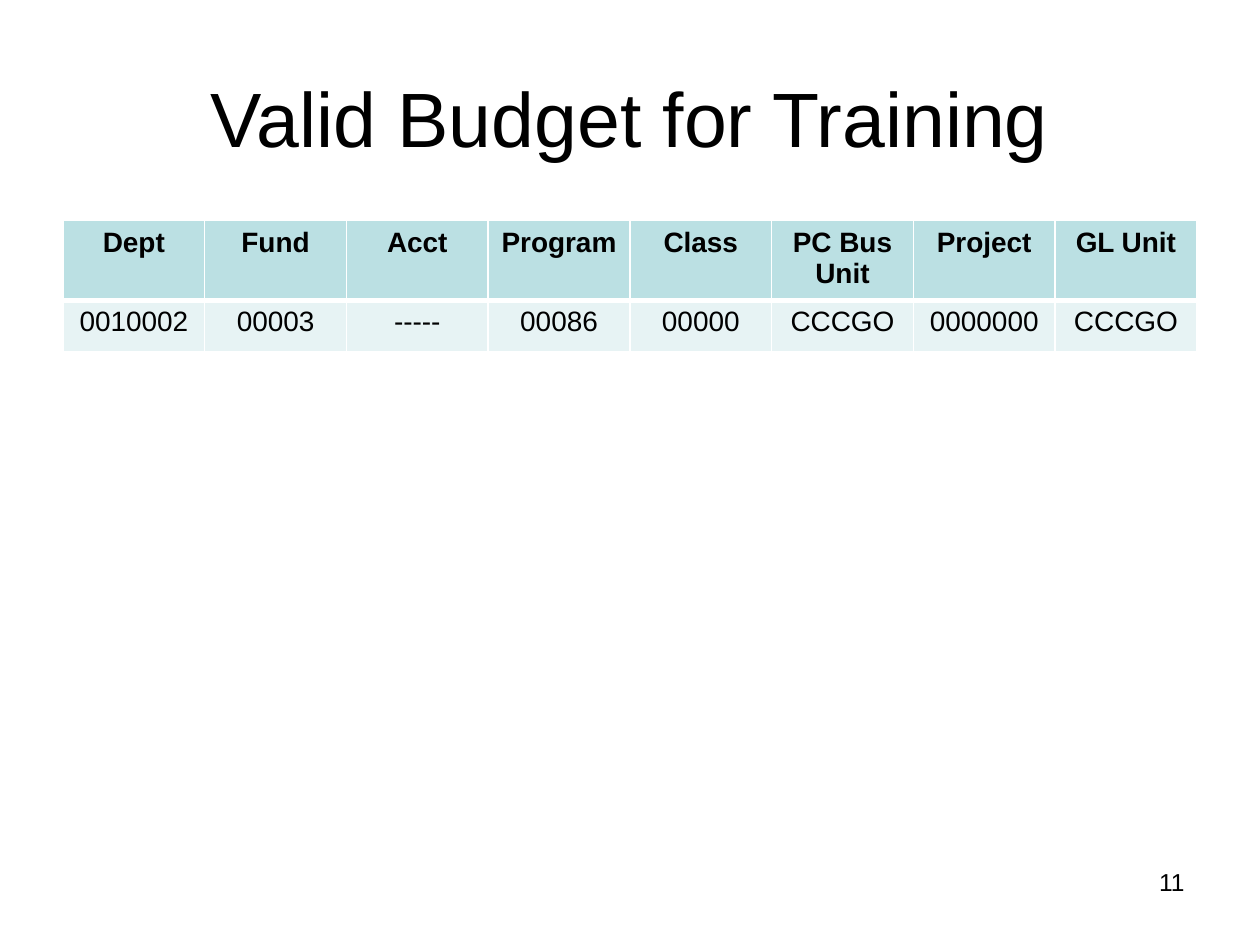
import pptx
import pptx.util
import pptx.dml.color
import pptx.enum.text
import pptx.oxml
import pptx.oxml.ns
from pptx.util import Inches

COLORS = {"text": "000000", "header": "BBE0E3", "body": "E7F3F4", "border": "FFFFFF"}
ALIGN = pptx.enum.text.PP_ALIGN
ANCHOR = pptx.enum.text.MSO_ANCHOR

TEXTS = [
    {"text": "Valid Budget for Training", "at": (0.5, 0.3, 9, 1.25), "size": 44,
     "align": ALIGN.CENTER, "anchor": ANCHOR.MIDDLE},
    {"text": "11", "at": (7.17, 6.83, 2.33, 0.52), "size": 14,
     "align": ALIGN.RIGHT, "anchor": ANCHOR.TOP},
]
BUDGET = [
    ("Dept", "Fund", "Acct", "Program", "Class", "PC Bus Unit", "Project", "GL Unit"),
    ("0010002", "00003", "-----", "00086", "00000", "CCCGO", "0000000", "CCCGO"),
]
ROW_STYLES = [
    {"fill": "header", "bold": True, "borders": {"L": 1, "R": 1, "T": 1, "B": 3}},
    {"fill": "body", "bold": False, "borders": {"L": 1, "R": 1, "T": 3, "B": 1}},
]
TABLE_AT = (0.5, 1.75, 9, 0.82)


def rgb(name):
    return pptx.dml.color.RGBColor.from_string(COLORS[name])


def write(frame, text, size, align, bold=False):
    para = frame.paragraphs[0]
    para.alignment = align
    span = para.add_run()
    span.text = text
    formats = {"name": "Arial", "size": pptx.util.Pt(size), "bold": bold}
    for key, value in formats.items():
        setattr(span.font, key, value)
    span.font.color.rgb = rgb("text")


def set_borders(cell, borders):
    properties = cell._tc.get_or_add_tcPr()
    namespace = pptx.oxml.ns.nsdecls("a")
    for position, (side, points) in enumerate(borders.items()):
        line = pptx.oxml.parse_xml(
            f'<a:ln{side} {namespace} w="{pptx.util.Pt(points)}"><a:solidFill>'
            f'<a:srgbClr val="{COLORS["border"]}"/></a:solidFill></a:ln{side}>')
        properties.insert(position, line)


def add_text(page, item):
    box = page.shapes.add_textbox(*map(Inches, item["at"]))
    box.text_frame.word_wrap = True
    box.text_frame.vertical_anchor = item["anchor"]
    write(box.text_frame, item["text"], item["size"], item["align"])


def add_budget(page):
    table = page.shapes.add_table(len(BUDGET), len(BUDGET[0]), *map(Inches, TABLE_AT)).table
    for row, (values, style) in enumerate(zip(BUDGET, ROW_STYLES)):
        for column, value in enumerate(values):
            cell = table.cell(row, column)
            cell.fill.solid()
            cell.fill.fore_color.rgb = rgb(style["fill"])
            set_borders(cell, style["borders"])
            write(cell.text_frame, value, 16, ALIGN.CENTER, style["bold"])


def main():
    deck = pptx.Presentation()
    deck.slide_width, deck.slide_height = Inches(10), Inches(7.5)
    page = deck.slides.add_slide(deck.slide_layouts[6])
    title, number = TEXTS
    add_text(page, title)
    add_budget(page)
    add_text(page, number)
    deck.save("out.pptx")


if __name__ == "__main__":
    main()
